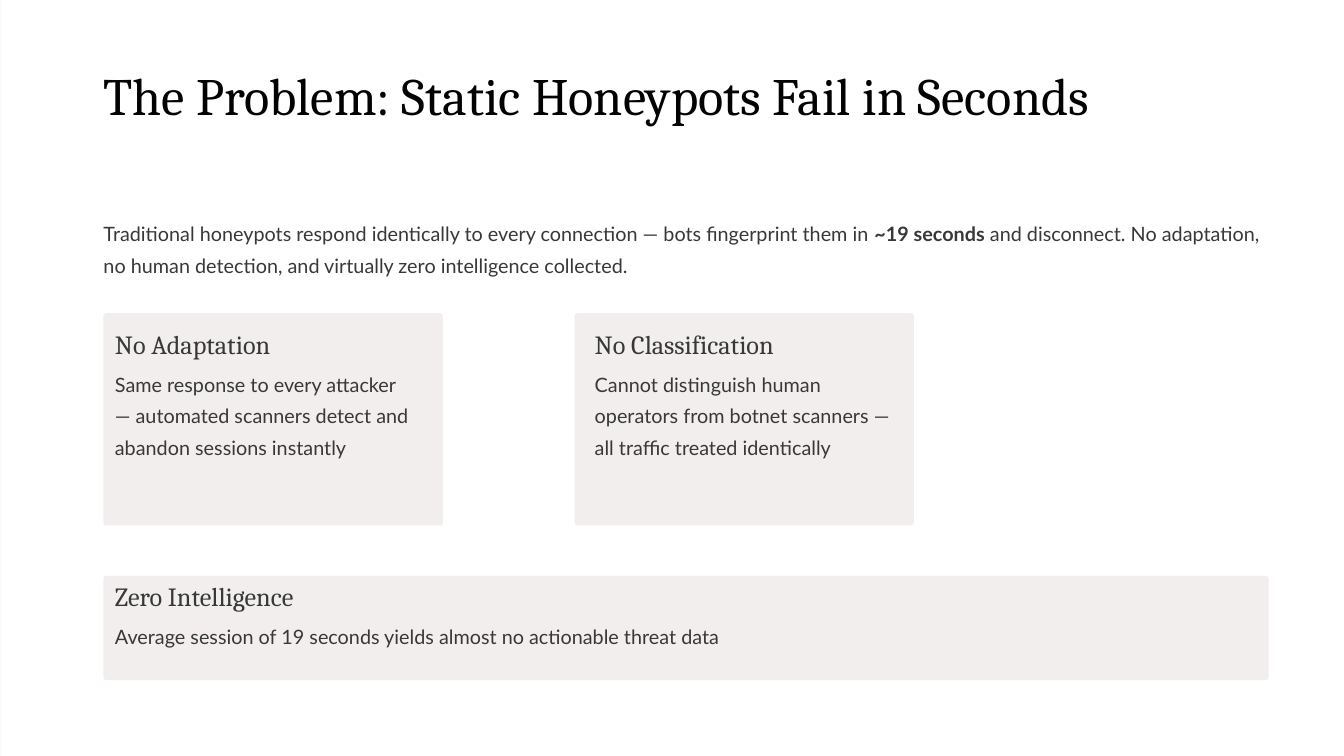
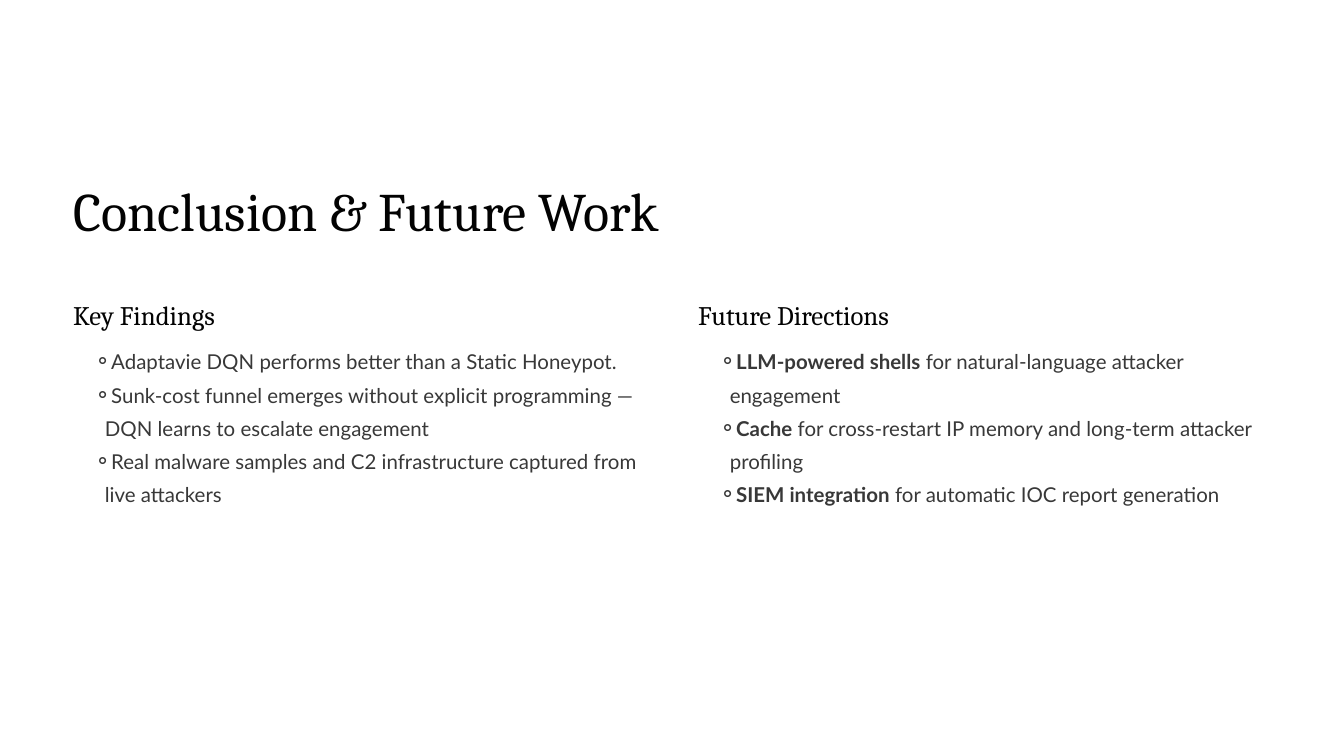
from lxml.etree import SubElement
from pptx import Presentation
from pptx.dml.color import RGBColor
from pptx.enum.shapes import MSO_SHAPE
from pptx.enum.text import MSO_AUTO_SIZE
from pptx.oxml.ns import qn
from pptx.util import Emu, Pt

PX = 9144
WIDTH, HEIGHT = 2000, 1125
INK = RGBColor(0x02, 0x02, 0x02)
BODY = RGBColor(0x38, 0x38, 0x38)
PAPER = RGBColor(0xFA, 0xFA, 0xFA)
WHITE = RGBColor(0xFF, 0xFF, 0xFF)
CARD = RGBColor(0xF2, 0xEE, 0xEE)
SERIF, SANS = "Cambria", "Lato"
CARD_RADIUS = 4.5
BULLET_LEFT, BULLET_HANG = 47, -16


def px(n):
    return Emu(n * PX)


class Deck:
    def __init__(self):
        self.prs = Presentation()
        self.prs.slide_width, self.prs.slide_height = px(WIDTH), px(HEIGHT)
        self.s = None

    def slide(self, edge=0):
        self.s = self.prs.slides.add_slide(self.prs.slide_layouts[6])
        fill = self.s.background.fill
        fill.solid()
        fill.fore_color.rgb = WHITE
        self.shape(MSO_SHAPE.RECTANGLE, 0, 0, WIDTH, HEIGHT, PAPER)
        self.shape(MSO_SHAPE.RECTANGLE, edge, 0, WIDTH - edge, HEIGHT, WHITE)

    def shape(self, kind, x, y, w, h, color):
        sp = self.s.shapes.add_shape(kind, px(x), px(y), px(w), px(h))
        sp.shadow.inherit = False
        sp.fill.solid()
        sp.fill.fore_color.rgb = color
        sp.line.fill.background()
        return sp

    def card(self, x, y, w, h):
        sp = self.shape(MSO_SHAPE.ROUNDED_RECTANGLE, x, y, w, h, CARD)
        sp.adjustments[0] = CARD_RADIUS / min(w, h)

    def text(self, x, y, w, h, paragraphs, size, leading, font=SANS, color=BODY, bullets=False):
        sp = self.s.shapes.add_textbox(px(x), px(y), px(w), px(h))
        tf = sp.text_frame
        tf.margin_left = tf.margin_top = tf.margin_right = tf.margin_bottom = 0
        tf.word_wrap = True
        tf.auto_size = MSO_AUTO_SIZE.SHAPE_TO_FIT_TEXT
        for i, runs in enumerate(paragraphs):
            p = tf.add_paragraph() if i else tf.paragraphs[0]
            if bullets:
                self.bullet(p)
            p.line_spacing = Pt(leading)
            for words, bold in runs:
                r = p.add_run()
                r.text = words
                r.font.name, r.font.size, r.font.bold = font, Pt(size), bold
                r.font.color.rgb = color

    def bullet(self, p):
        p.level = 1
        pPr = p._p.get_or_add_pPr()
        pPr.set("marL", str(px(BULLET_LEFT)))
        pPr.set("indent", str(px(BULLET_HANG)))
        SubElement(pPr, qn("a:buFont")).set("typeface", "Arial")
        SubElement(pPr, qn("a:buChar")).set("char", "⚬")

    def title(self, x, y, w, h, words, size, leading):
        self.text(x, y, w, h, [[(words, False)]], size, leading, SERIF, INK)

    def card_text(self, x, y, w, h, heading, body):
        self.text(x, y, 394, 49, [[(heading, False)]], 28.1, 35, SERIF)
        self.text(x, y + 57, w, h, [[(body, False)]], 21.2, 33.7)

    def column(self, x, heading, items):
        self.title(x, 442, 407, 55, heading, 28.7, 36.2)
        self.text(x, 507, 854, 242, items, 21.9, 35.6, bullets=True)


def problem(deck):
    deck.slide(edge=2)
    left = 154
    deck.title(left, 89, 1741, 97, "The Problem: Static Honeypots Fail in Seconds", 56.2, 70.6)
    deck.text(left, 319, 1741, 89, [[
        ("Traditional honeypots respond identically to every connection — bots fingerprint them in ", False),
        ("~19 seconds", True),
        (" and disconnect. No adaptation, no human detection, and virtually zero intelligence collected.", False),
    ]], 21.2, 33.7)
    deck.card(left, 466, 505, 316)
    deck.card_text(171, 486, 445, 206, "No Adaptation",
                   "Same response to every attacker — automated scanners detect and abandon sessions instantly")
    deck.card(855, 466, 505, 316)
    deck.card_text(885, 486, 445, 159, "No Classification",
                   "Cannot distinguish human operators from botnet scanners — all traffic treated identically")
    deck.card(left, 857, 1734, 155)
    deck.card_text(171, 861, 980, 64, "Zero Intelligence",
                   "Average session of 19 seconds yields almost no actionable threat data")


def conclusion(deck):
    deck.slide()
    deck.title(109, 259, 965, 110, "Conclusion & Future Work", 58.1, 73.1)
    deck.column(109, "Key Findings", [
        [("Adaptavie DQN performs better than a Static Honeypot.", False)],
        [("Sunk-cost funnel emerges without explicit programming — DQN learns to escalate engagement", False)],
        [("Real malware samples and C2 infrastructure captured from live attackers", False)],
    ])
    deck.column(1039, "Future Directions", [
        [("LLM-powered shells", True), (" for natural-language attacker engagement", False)],
        [("Cache", True), (" for cross-restart IP memory and long-term attacker profiling", False)],
        [("SIEM integration", True), (" for automatic IOC report generation", False)],
    ])


def main():
    deck = Deck()
    problem(deck)
    conclusion(deck)
    deck.prs.save("out.pptx")


if __name__ == "__main__":
    main()
